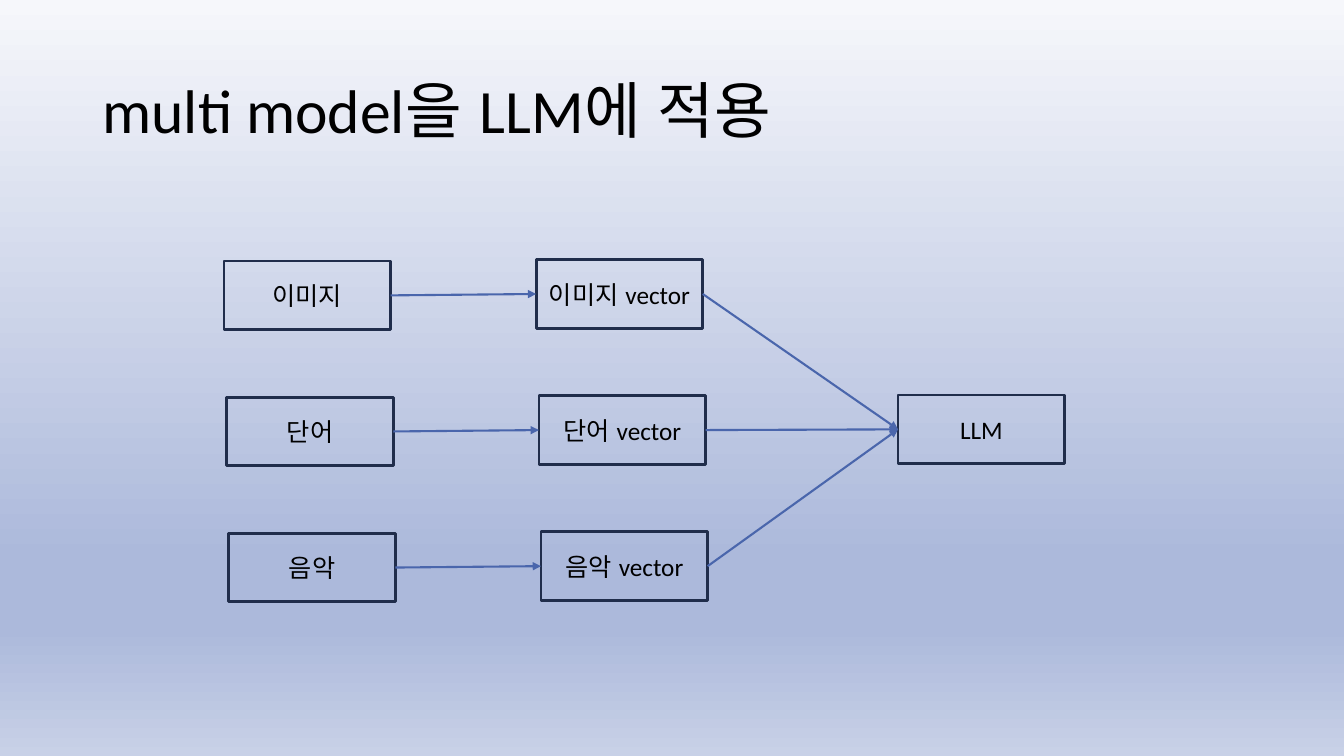
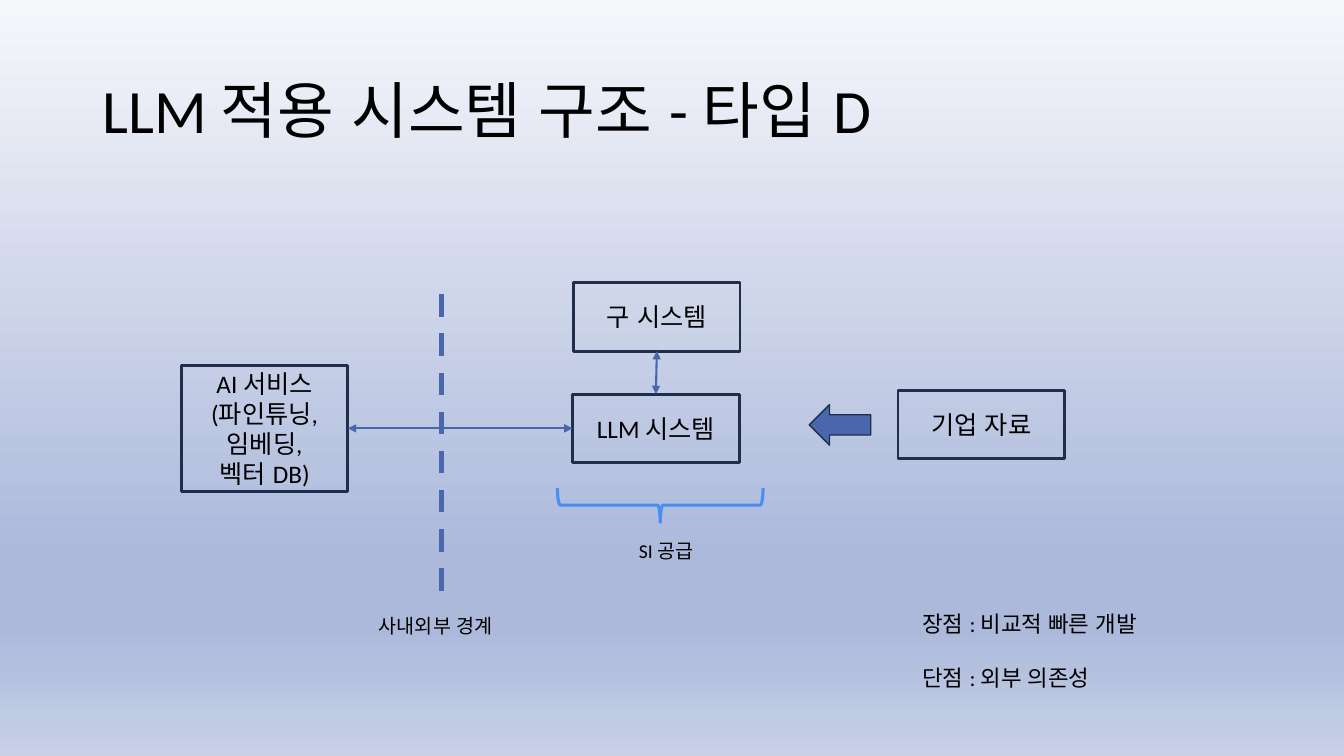
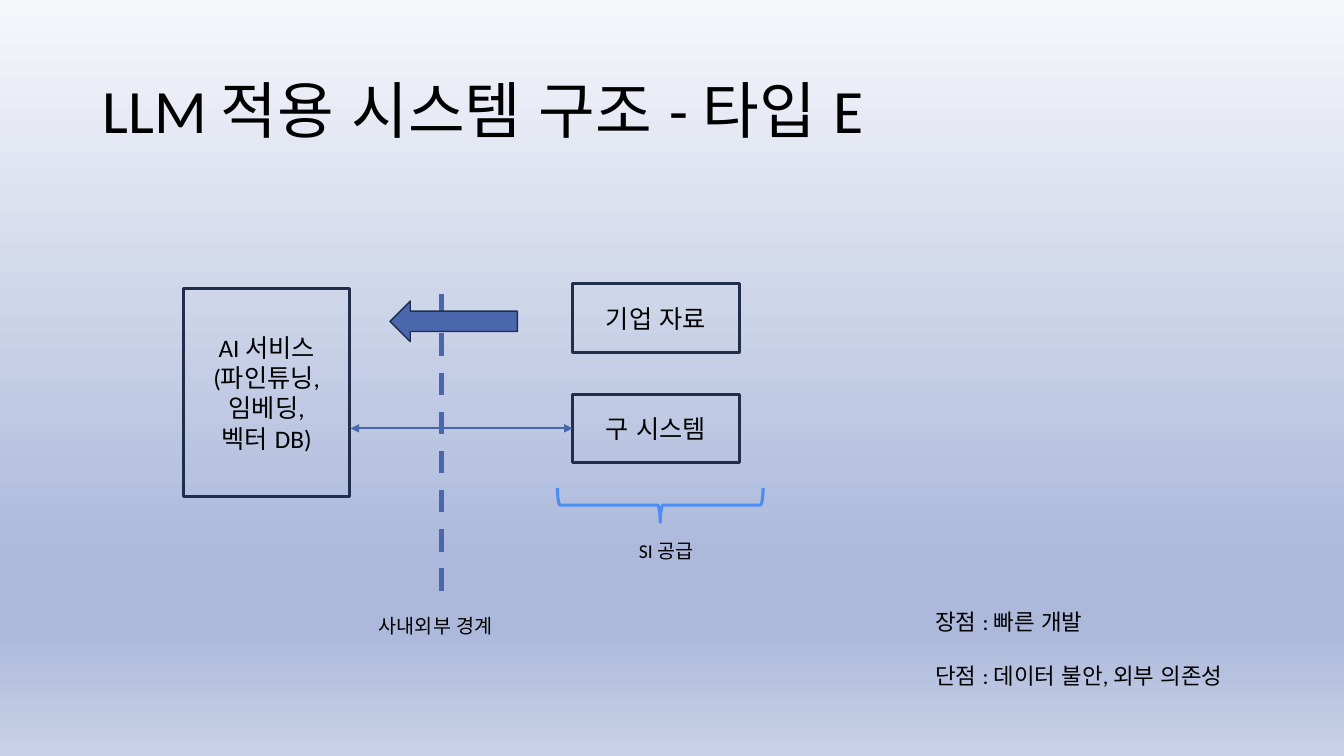
import dataclasses
from typing import Any, Optional

import lxml.etree
import pptx
import pptx.dml.color
import pptx.enum.dml
import pptx.enum.lang
import pptx.enum.shapes
import pptx.enum.text
import pptx.oxml.ns
import pptx.presentation
import pptx.shapes.autoshape
import pptx.shapes.connector
import pptx.slide
import pptx.text.text
import pptx.util

Pt = pptx.util.Pt
RGB = pptx.dml.color.RGBColor
Preset = pptx.enum.shapes.MSO_SHAPE
Align = pptx.enum.text.PP_ALIGN
Anchor = pptx.enum.text.MSO_ANCHOR
AutoSize = pptx.enum.text.MSO_AUTO_SIZE
Slide = pptx.slide.Slide
Shape = pptx.shapes.autoshape.Shape
Connector = pptx.shapes.connector.Connector
qn = pptx.oxml.ns.qn


# Theme: colours, type sizes and line widths
@dataclasses.dataclass(frozen=True)
class Theme:
    font: str = "Calibri"
    text: RGB = RGB(0x00, 0x00, 0x00)
    outline: RGB = RGB(0x20, 0x2D, 0x4B)
    accent: RGB = RGB(0x4A, 0x66, 0xAC)
    brace: RGB = RGB(0x4A, 0x8E, 0xF2)
    background: tuple[tuple[int, str], ...] = (
        (0, "F6F7FB"), (74, "ACB9DB"), (83, "ACB9DB"), (100, "C8D1E7"))
    title_size: float = 44
    box_size: float = 18
    note_size: float = 16
    label_size: float = 14
    box_line: float = 2
    link_line: float = 1.5
    boundary_line: float = 4
    brace_line: float = 2.25


@dataclasses.dataclass(frozen=True)
class Area:
    left: float
    top: float
    width: float = 119
    height: float = 49

    def lengths(self) -> tuple[Any, ...]:
        return tuple(Pt(value) for value in dataclasses.astuple(self))


@dataclasses.dataclass(frozen=True)
class Modality:
    name: str
    left: float


@dataclasses.dataclass(frozen=True)
class Point:
    x: float
    y: float


THEME = Theme()
TOP, LEFT, BOTTOM, RIGHT = range(4)  # connection sites of a rectangle
TITLE_AREA = Area(66, 28.8, 828, 104.4)
AI_SERVICE = ("AI 서비스", "(파인튜닝, 임베딩,", "벡터 DB)")
MODALITIES = (Modality("이미지", 160), Modality("단어", 162), Modality("음악", 163.5))
ROW_TOP, ROW_STEP = 186.5, 97.2
VECTOR_SHIFT = 223


# Formatting helpers
def apply_formats(target: Any, formats: dict[str, Any]) -> None:
    for name, value in formats.items():
        setattr(target, name, value)


def write_text(frame: pptx.text.text.TextFrame, lines: tuple[str, ...], size: float,
               align: Any = Align.LEFT, gap: float = 0, spacing: float = 1.0) -> None:
    for index, line in enumerate(lines):
        para = frame.add_paragraph() if index else frame.paragraphs[0]
        apply_formats(para, {"alignment": align, "line_spacing": spacing})
        if index and gap:
            para.space_before = Pt(gap)
        span = para.add_run()
        span.text = line
        apply_formats(span.font, {
            "name": THEME.font, "size": Pt(size),
            "language_id": pptx.enum.lang.MSO_LANGUAGE_ID.KOREAN})
        span.font.color.rgb = THEME.text


def set_background(deck: pptx.presentation.Presentation) -> None:
    fill = deck.slide_master.background.fill
    fill.gradient()
    fill.gradient_angle = 270
    stops = next(deck.slide_master.element.iter(qn("a:gsLst")))
    for stop in list(stops):
        stops.remove(stop)
    for percent, colour in THEME.background:
        stop = lxml.etree.SubElement(stops, qn("a:gs"), pos=str(percent * 1000))
        lxml.etree.SubElement(stop, qn("a:srgbClr"), val=colour)


# Drawing functions
def add_page(deck: pptx.presentation.Presentation, heading: str) -> Slide:
    page = deck.slides.add_slide(deck.slide_layouts.get_by_name("Title Only"))
    title = page.shapes.title
    apply_formats(title, dict(zip(("left", "top", "width", "height"), TITLE_AREA.lengths())))
    apply_formats(title.text_frame, {
        "vertical_anchor": Anchor.MIDDLE, "word_wrap": True, "auto_size": AutoSize.NONE})
    write_text(title.text_frame, (heading,), THEME.title_size, spacing=0.9)
    return page


def add_preset(page: Slide, preset: Any, area: Area, line: RGB, width: float,
               fill: Optional[RGB] = None) -> Shape:
    shape = page.shapes.add_shape(preset, *area.lengths())
    shape.shadow.inherit = False
    if fill is None:
        shape.fill.background()
    else:
        shape.fill.solid()
        shape.fill.fore_color.rgb = fill
    shape.line.color.rgb = line
    shape.line.width = Pt(width)
    return shape


def add_box(page: Slide, area: Area, *lines: str) -> Shape:
    box = add_preset(page, Preset.RECTANGLE, area, THEME.outline, THEME.box_line)
    apply_formats(box.text_frame, {"vertical_anchor": Anchor.MIDDLE, "word_wrap": True})
    write_text(box.text_frame, lines, THEME.box_size, Align.CENTER)
    return box


def add_data_arrow(page: Slide, area: Area) -> None:
    add_preset(page, Preset.LEFT_ARROW, area, THEME.outline, 1, THEME.accent)


def add_label(page: Slide, area: Area, lines: tuple[str, ...], size: float,
              wrap: bool = False, gap: float = 0) -> None:
    label = page.shapes.add_textbox(*area.lengths())
    apply_formats(label.text_frame, {
        "word_wrap": wrap, "auto_size": AutoSize.SHAPE_TO_FIT_TEXT})
    write_text(label.text_frame, lines, size, gap=gap)


def add_line(page: Slide, start: Point, end: Point, width: float,
             ends: tuple[str, ...] = ()) -> Connector:
    line = page.shapes.add_connector(
        pptx.enum.shapes.MSO_CONNECTOR.STRAIGHT,
        Pt(start.x), Pt(start.y), Pt(end.x), Pt(end.y))
    line.line.color.rgb = THEME.accent
    line.line.width = Pt(width)
    outline = line.line._get_or_add_ln()
    for end_name in ends:
        lxml.etree.SubElement(outline, qn(f"a:{end_name}"), type="triangle")
    lxml.etree.SubElement(line._element.spPr, qn("a:effectLst"))
    return line


def add_link(page: Slide, source: Shape, source_site: int, target: Shape, target_site: int,
             both: bool = False) -> None:
    ends = ("headEnd", "tailEnd") if both else ("tailEnd",)
    link = add_line(page, Point(0, 0), Point(0, 0), THEME.link_line, ends)
    link.begin_connect(source, source_site)
    link.end_connect(target, target_site)


def add_system_frame(page: Slide) -> None:
    """Company boundary and supplier brace of the system slides."""
    boundary = add_line(page, Point(315.4, 210.2), Point(315.4, 422.6), THEME.boundary_line)
    boundary.line.dash_style = pptx.enum.dml.MSO_LINE.DASH
    add_label(page, Area(263.5, 434.9, 102.2, 24.5), ("사내외부 경계",), THEME.label_size)
    brace = add_preset(page, Preset.LEFT_BRACE, Area(459.4, 287.3, 24.5, 146.9),
                       THEME.brace, THEME.brace_line)
    brace.rotation = 270
    add_label(page, Area(449.3, 381.6, 54, 24.5), ("SI 공급",), THEME.label_size, wrap=True)


def add_verdict(page: Slide, area: Area, benefit: str, drawback: str) -> None:
    add_label(page, area, (f"장점 : {benefit}", f"단점 : {drawback}"),
              THEME.note_size, gap=19.5)


# Slides
def build_multi_model(deck: pptx.presentation.Presentation) -> None:
    page = add_page(deck, "multi model을 LLM에 적용")
    model = add_box(page, Area(641.5, 282.2), "LLM")
    for row, modality in enumerate(MODALITIES):
        top = ROW_TOP + row * ROW_STEP
        source = add_box(page, Area(modality.left, top), modality.name)
        vector = add_box(page, Area(modality.left + VECTOR_SHIFT, top - 1),
                         f"{modality.name} vector")
        add_link(page, source, RIGHT, vector, LEFT)
        add_link(page, vector, RIGHT, model, LEFT)


def build_type_d(deck: pptx.presentation.Presentation) -> None:
    page = add_page(deck, "LLM 적용 시스템 구조 - 타입 D")
    add_system_frame(page)
    service = add_box(page, Area(129.5, 261, 119, 90), *AI_SERVICE)
    system = add_box(page, Area(409, 281.5), "LLM 시스템")
    legacy = add_box(page, Area(409.7, 201.8), "구 시스템")
    add_box(page, Area(641.5, 278.8), "기업 자료")
    add_link(page, service, RIGHT, system, LEFT, both=True)
    add_link(page, legacy, BOTTOM, system, TOP, both=True)
    add_data_arrow(page, Area(578, 289, 44, 29))
    add_verdict(page, Area(651.6, 432, 178.6, 65.5), "비교적 빠른 개발", "외부 의존성")


def build_type_e(deck: pptx.presentation.Presentation) -> None:
    page = add_page(deck, "LLM 적용 시스템 구조 - 타입 E")
    add_system_frame(page)
    add_box(page, Area(131, 206, 119, 149), *AI_SERVICE)
    add_box(page, Area(409, 202.8), "기업 자료")
    add_box(page, Area(409, 281.5), "구 시스템")
    add_line(page, Point(250.5, 306), Point(409, 306), THEME.link_line,
             ("headEnd", "tailEnd"))
    add_data_arrow(page, Area(278.6, 215, 91, 29))
    add_verdict(page, Area(661, 431, 234.7, 65.5), "빠른 개발", "데이터 불안, 외부 의존성")


def main() -> None:
    deck = pptx.Presentation()
    apply_formats(deck, {"slide_width": Pt(960), "slide_height": Pt(540)})
    set_background(deck)
    for build in (build_multi_model, build_type_d, build_type_e):
        build(deck)
    deck.save("out.pptx")


if __name__ == "__main__":
    main()
